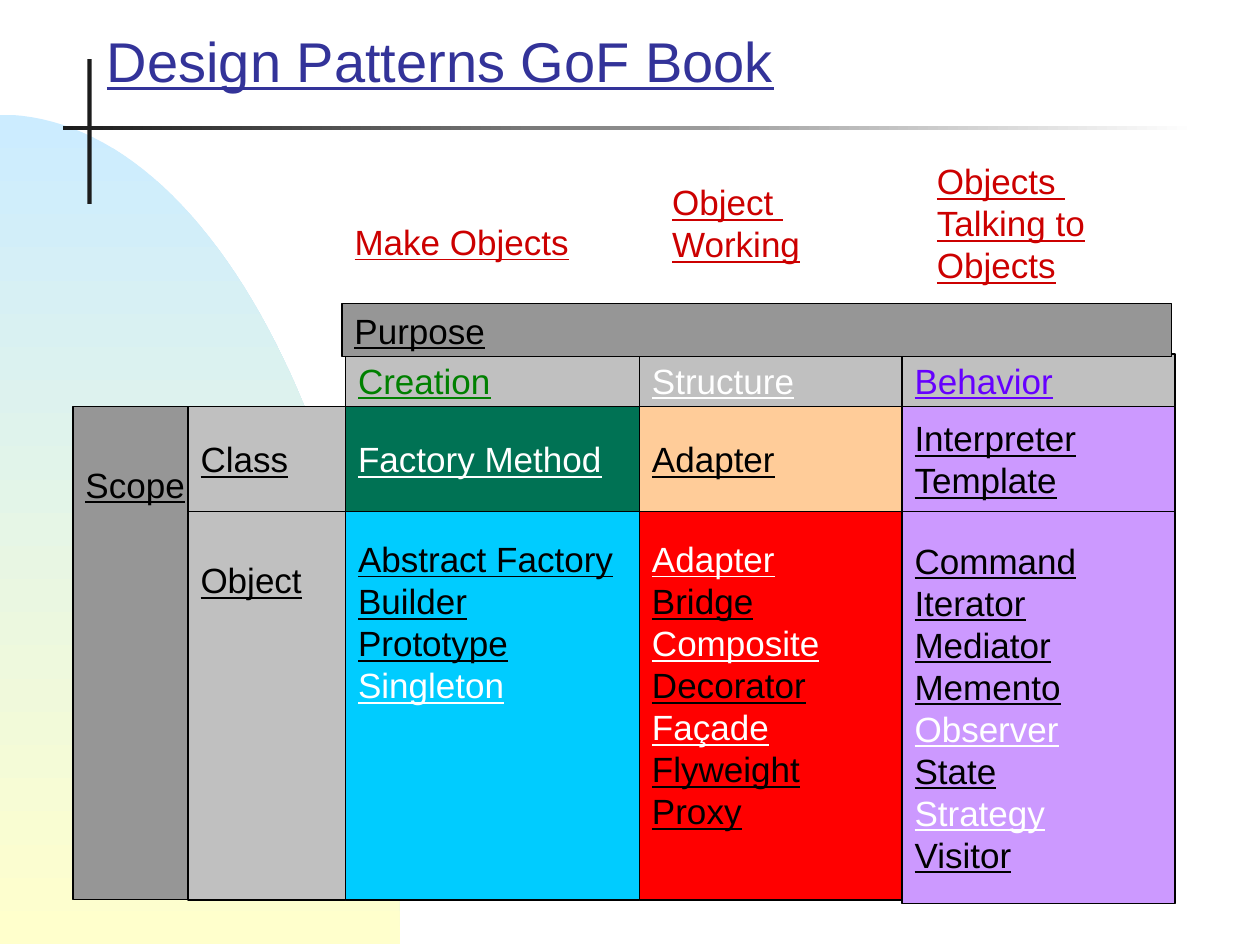
from math import cos, pi, sin

from pptx import Presentation
from pptx.dml.color import RGBColor
from pptx.enum.shapes import MSO_SHAPE as Shape
from pptx.enum.text import MSO_ANCHOR as Anchor, PP_ALIGN as Align
from pptx.util import Pt

COLORS = {
    "black": "000000", "white": "FFFFFF", "ink": "1C1C1C", "title": "333399",
    "note": "CC0000", "sky": "CCECFF", "cream": "FFFFCC", "dark gray": "969696",
    "gray": "C0C0C0", "cyan": "00CCFF", "red": "FF0000", "lilac": "CC99FF",
    "teal": "007254", "peach": "FFCC99", "green": "008000", "violet": "6600FF",
}
FONT = "Arial"

# Grid edges of the pattern matrix
SCOPE_X, KIND_X, RIGHT = 41.75, 107.5, 671.5
COLUMNS = [197.5, 365.5, 515.5, RIGHT]
HEAD_Y, CLASS_Y, OBJECT_Y, BOTTOM = 202.25, 232.25, 292.25, 514.25


def color(name):
    return RGBColor.from_string(COLORS[name])


def fill_gradient(shape, start, end, angle):
    shape.fill.gradient()
    shape.fill.gradient_angle = angle
    for stop, name in zip(shape.fill.gradient_stops, (start, end)):
        stop.color.rgb = color(name)


def write_lines(shape, lines, size=20, spacing=24, anchor=Anchor.MIDDLE, top=3.6, wrap=False):
    """Write (text, color name) pairs, one paragraph each."""
    frame = shape.text_frame
    frame.word_wrap = wrap
    frame.vertical_anchor = anchor
    frame.margin_left = frame.margin_right = Pt(7.2)
    frame.margin_top, frame.margin_bottom = Pt(top), Pt(3.6)
    for index, (text, name) in enumerate(lines):
        paragraph = frame.add_paragraph() if index else frame.paragraphs[0]
        paragraph.alignment = Align.LEFT
        paragraph.line_spacing = Pt(spacing) if spacing else 1.0
        run = paragraph.add_run()
        run.text = text
        run.font.name, run.font.size = FONT, Pt(size)
        run.font.underline = True
        run.font.color.rgb = color(name)


def add_bar(slide, left, top, width, height):
    bar = slide.shapes.add_shape(Shape.RECTANGLE, Pt(left), Pt(top), Pt(width), Pt(height))
    bar.shadow.inherit = False
    bar.line.fill.background()
    return bar


def add_cell(slide, left, top, right, bottom, fill, lines, text_top=None):
    """Add a bordered cell; text_top hangs the text from the top edge."""
    cell = add_bar(slide, left, top, right - left, bottom - top)
    cell.fill.solid()
    cell.fill.fore_color.rgb = color(fill)
    cell.line.color.rgb = color("black")
    cell.line.width = Pt(0.75)
    if text_top is None:
        write_lines(cell, lines)
    else:
        write_lines(cell, lines, anchor=Anchor.TOP, top=text_top)


def add_text(slide, left, top, width, height, lines, **options):
    box = slide.shapes.add_textbox(Pt(left), Pt(top), Pt(width), Pt(height))
    write_lines(box, lines, wrap=True, **options)


def add_background(slide):
    # Quarter ellipse in the lower left corner
    base, width, height, steps = 539.5, 228.5, 474, 60
    arc = [(width * sin(pi / 2 * i / steps), base - height * cos(pi / 2 * i / steps))
           for i in range(steps + 1)]
    builder = slide.shapes.build_freeform(Pt(0), Pt(base))
    builder.add_line_segments([(Pt(x), Pt(y)) for x, y in arc], close=True)
    ellipse = builder.convert_to_shape()
    ellipse.shadow.inherit = False
    ellipse.line.fill.background()
    fill_gradient(ellipse, "sky", "cream", 270)

    # Crossing title rules
    upright = add_bar(slide, 49.9, 33.75, 2.5, 82.75)
    upright.fill.solid()
    upright.fill.fore_color.rgb = color("ink")
    fill_gradient(add_bar(slide, 36, 72, 648, 2.3), "ink", "white", 0)


def add_matrix(slide):
    dark, light = "black", "white"
    objects = [
        ("cyan", [("Abstract Factory", dark), ("Builder", dark), ("Prototype", dark),
                  ("Singleton", light)], BOTTOM, 15),
        ("red", [("Adapter", light), ("Bridge", dark), ("Composite", light),
                 ("Decorator", dark), ("Façade", light), ("Flyweight", dark),
                 ("Proxy", dark)], BOTTOM, 15),
        ("lilac", [("Command", dark), ("Iterator", dark), ("Mediator", dark),
                   ("Memento", dark), ("Observer", light), ("State", dark),
                   ("Strategy", light), ("Visitor", dark)], BOTTOM + 2, None),
    ]
    classes = [
        ("teal", [("Factory Method", light)]),
        ("peach", [("Adapter", dark)]),
        ("lilac", [("Interpreter", dark), ("Template", dark)]),
    ]
    heads = [("Creation", "green"), ("Structure", light), ("Behavior", "violet")]
    spans = list(zip(COLUMNS, COLUMNS[1:]))

    # Pattern columns, from the bottom row up
    for (left, right), (fill, lines, bottom, text_top) in zip(spans, objects):
        add_cell(slide, left, OBJECT_Y, right, bottom, fill, lines, text_top)
    for (left, right), (fill, lines) in zip(spans, classes):
        add_cell(slide, left, CLASS_Y, right, OBJECT_Y, fill, lines)
    for (left, right), head in zip(spans, heads):
        add_cell(slide, left, HEAD_Y, right, CLASS_Y, "gray", [head])

    # Scope and purpose headings
    add_cell(slide, KIND_X, OBJECT_Y, COLUMNS[0], BOTTOM, "gray", [("Object", dark)], 27)
    add_cell(slide, KIND_X, CLASS_Y, COLUMNS[0], OBJECT_Y, "gray", [("Class", dark)])
    add_cell(slide, SCOPE_X, CLASS_Y, KIND_X, BOTTOM, "dark gray", [("Scope", dark)], 32.5)
    add_cell(slide, 195.5, 173.5, 669.5, 203.75, "dark gray", [("Purpose", dark)])


def add_notes(slide):
    notes = [
        (195.5, 122.5, 153.5, 31.5, ["Make Objects"]),
        (377, 99.75, 88, 55.5, ["Object ", "Working"]),
        (528.25, 87.75, 101, 79.25, ["Objects ", "Talking to", "Objects"]),
    ]
    for left, top, width, height, texts in notes:
        add_text(slide, left, top, width, height, [(text, "note") for text in texts],
                 anchor=Anchor.TOP)


def main():
    presentation = Presentation()
    presentation.slide_width, presentation.slide_height = Pt(720), Pt(540)
    slide = presentation.slides.add_slide(presentation.slide_layouts[6])
    add_background(slide)
    add_text(slide, 54, 0, 612, 57, [("Design Patterns GoF Book", "title")],
             size=32, spacing=None, anchor=Anchor.BOTTOM)
    add_matrix(slide)
    add_notes(slide)
    presentation.save("out.pptx")


if __name__ == "__main__":
    main()
